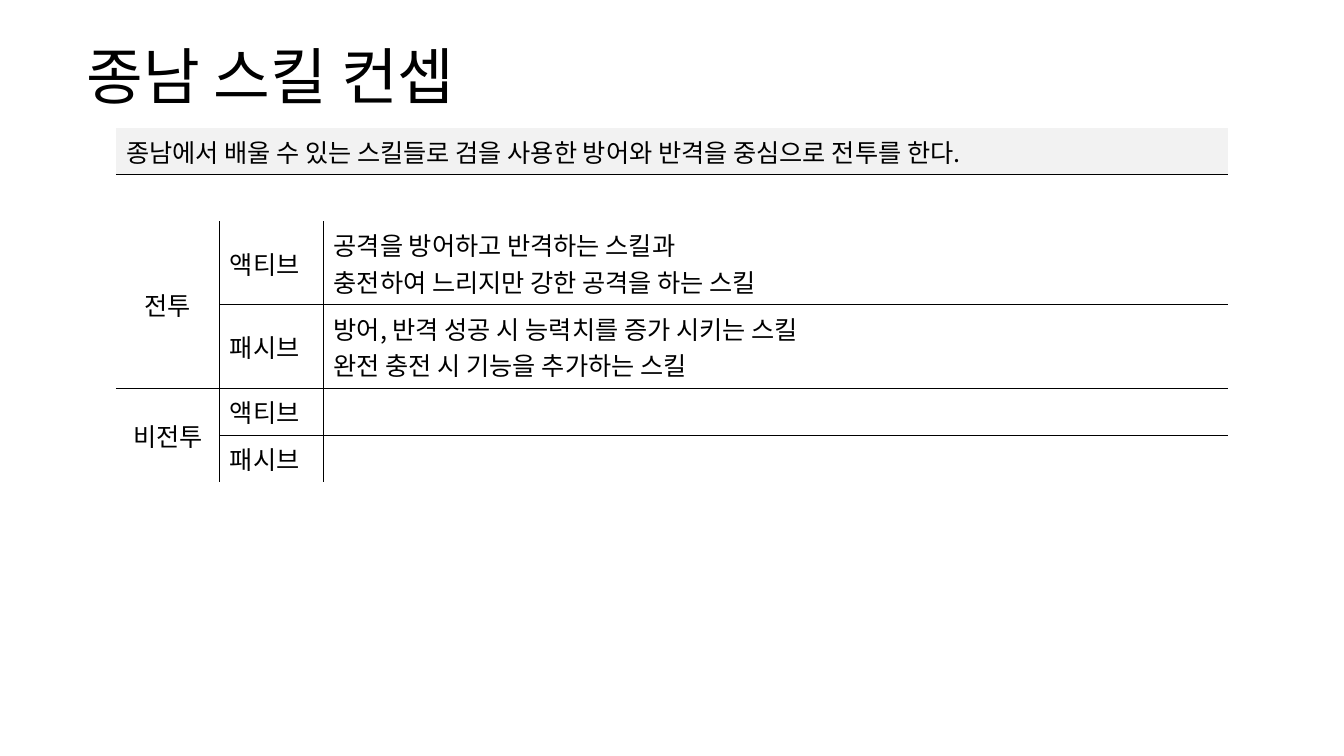
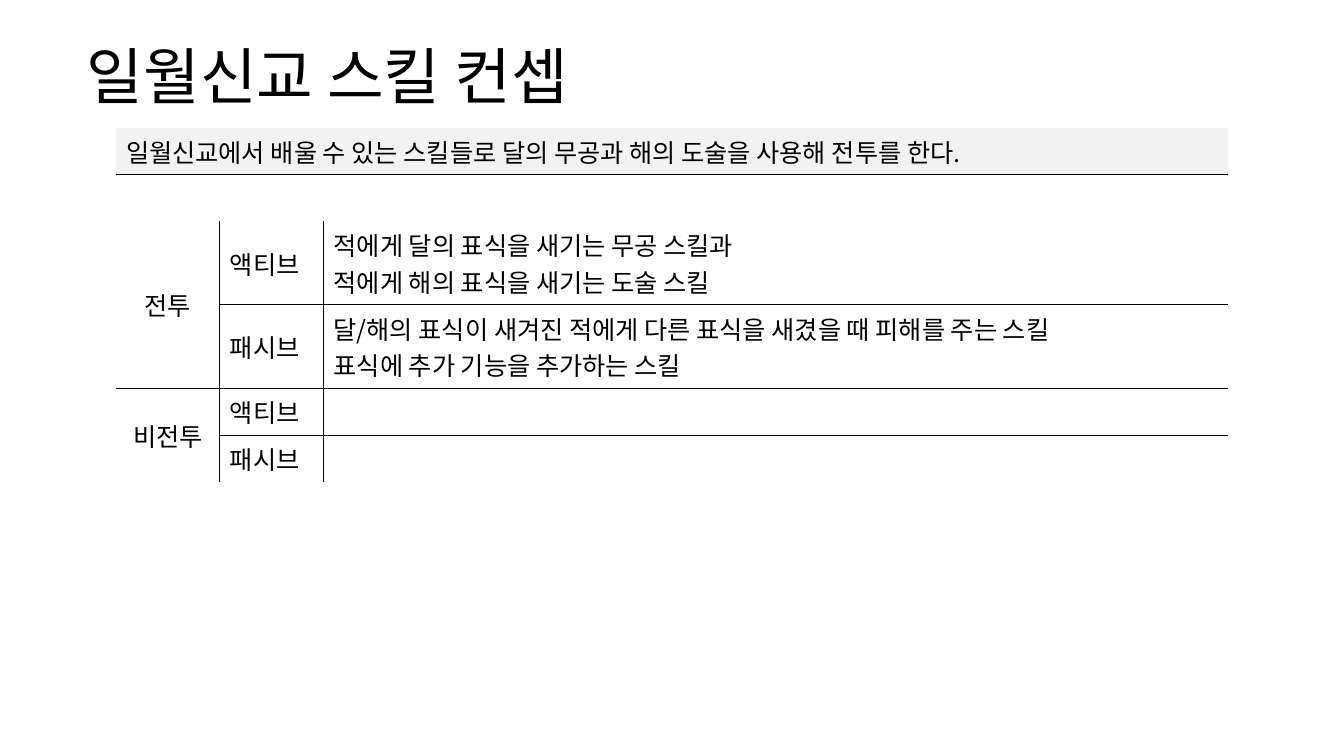
import pptx
import pptx.util
import pptx.dml.color
import pptx.enum.text
import pptx.oxml
import pptx.oxml.ns
from dataclasses import dataclass

Inches, Pt = pptx.util.Inches, pptx.util.Pt
RGB = pptx.dml.color.RGBColor.from_string
ALIGN = pptx.enum.text.PP_ALIGN
MIDDLE = pptx.enum.text.MSO_ANCHOR.MIDDLE


@dataclass(frozen=True)
class Theme:
    font: str = "Noto Sans CJK KR"
    ink: str = "000000"
    band: str = "F2F2F2"
    title: int = 44
    body: int = 18
    rule: int = 1


THEME = Theme()
WIDE, HIGH = 13.33, 7.5
LEFT, TOP = 1.15, 1.27
COLS = (1.03, 1.03, 8.97)
LINE, PAIR = 0.46, 0.83
ROWS = (LINE, LINE, PAIR, PAIR, LINE, LINE)
BODY = 2
RULES = {0: 0, 2: 1, 3: 0, 4: 1}
MERGES = (((0, 0), (0, 2)), ((1, 0), (1, 2)), ((2, 0), (3, 0)), ((4, 0), (5, 0)))
LABELS = {
    (2, 0): "전투", (2, 1): "액티브", (3, 1): "패시브",
    (4, 0): "비전투", (4, 1): "액티브", (5, 1): "패시브",
}
DECK = (
    (
        "종남 스킬 컨셉",
        "종남에서 배울 수 있는 스킬들로 검을 사용한 방어와 반격을 중심으로 전투를 한다.",
        "공격을 방어하고 반격하는 스킬과\n충전하여 느리지만 강한 공격을 하는 스킬",
        "방어, 반격 성공 시 능력치를 증가 시키는 스킬\n완전 충전 시 기능을 추가하는 스킬",
    ),
    (
        "일월신교 스킬 컨셉",
        "일월신교에서 배울 수 있는 스킬들로 달의 무공과 해의 도술을 사용해 전투를 한다.",
        "적에게 달의 표식을 새기는 무공 스킬과\n적에게 해의 표식을 새기는 도술 스킬",
        "달/해의 표식이 새겨진 적에게 다른 표식을 새겼을 때 피해를 주는 스킬\n표식에 추가 기능을 추가하는 스킬",
    ),
)


def write(frame, text, size=THEME.body, align=ALIGN.LEFT, space=None):
    frame.text = text
    for para in frame.paragraphs:
        para.alignment = align
        para.line_spacing = space
        para.font.size = Pt(size)
        for part in (para, *para.runs):
            part.font.size = Pt(size)
            part.font.name = THEME.font
            part.font.color.rgb = RGB(THEME.ink)
        for run in para.runs:
            props = run.font.language_id = None
            props = run._r.get_or_add_rPr()
            east = props.makeelement(pptx.oxml.ns.qn("a:ea"), {"typeface": THEME.font})
            props.append(east)
        if not para.runs:
            end = para._p.get_or_add_endParaRPr()
            end.set("sz", str(size * 100))


def edge(cell, sides):
    props = cell._tc.get_or_add_tcPr()
    for spot, (side, shown) in enumerate(sides.items()):
        fill = (
            f'<a:solidFill><a:srgbClr val="{THEME.ink}"/></a:solidFill>'
            if shown else "<a:noFill/>"
        )
        line = pptx.oxml.parse_xml(
            f'<a:ln{side} {pptx.oxml.ns.nsdecls("a")} w="{Pt(THEME.rule)}">{fill}</a:ln{side}>'
        )
        props.insert(spot, line)


def ruled(row, col):
    return col >= RULES.get(row, len(COLS))


def style(cell, row, col):
    cell.vertical_anchor = MIDDLE
    if row == 0:
        cell.fill.solid()
        cell.fill.fore_color.rgb = RGB(THEME.band)
    else:
        cell.fill.background()
    last = row + cell.span_height - 1 if cell.is_merge_origin else row
    edge(cell, {
        "L": row >= BODY and col > 0,
        "R": row >= BODY and col < len(COLS) - 1,
        "T": ruled(row - 1, col),
        "B": ruled(last, col),
    })


def head(slide, text):
    title = slide.shapes.title
    title.left, title.top = Inches(0.76), Inches(0.32)
    title.width, title.height = Inches(11.81), Inches(0.94)
    frame = title.text_frame
    frame.word_wrap = True
    frame.auto_size = pptx.enum.text.MSO_AUTO_SIZE.NONE
    frame.vertical_anchor = MIDDLE
    write(frame, text, size=THEME.title, space=0.9)


def grid(slide, texts):
    table = slide.shapes.add_table(
        len(ROWS), len(COLS), Inches(LEFT), Inches(TOP),
        Inches(sum(COLS)), Inches(sum(ROWS)),
    ).table
    table.first_row = table.horz_banding = False
    for col, width in zip(table.columns, COLS):
        col.width = Inches(width)
    for row, height in zip(table.rows, ROWS):
        row.height = Inches(height)
    for start, stop in MERGES:
        table.cell(*start).merge(table.cell(*stop))
    for row in range(len(ROWS)):
        for col in range(len(COLS)):
            cell = table.cell(row, col)
            center = row >= BODY and col == 0
            write(cell.text_frame, texts.get((row, col), ""),
                  align=ALIGN.CENTER if center else ALIGN.LEFT)
            style(cell, row, col)


def main():
    deck = pptx.Presentation()
    deck.slide_width, deck.slide_height = Inches(WIDE), Inches(HIGH)
    for title, intro, active, passive in DECK:
        slide = deck.slides.add_slide(deck.slide_layouts[5])
        head(slide, title)
        grid(slide, {**LABELS, (0, 0): intro, (2, 2): active, (3, 2): passive})
    deck.save("out.pptx")


if __name__ == "__main__":
    main()
